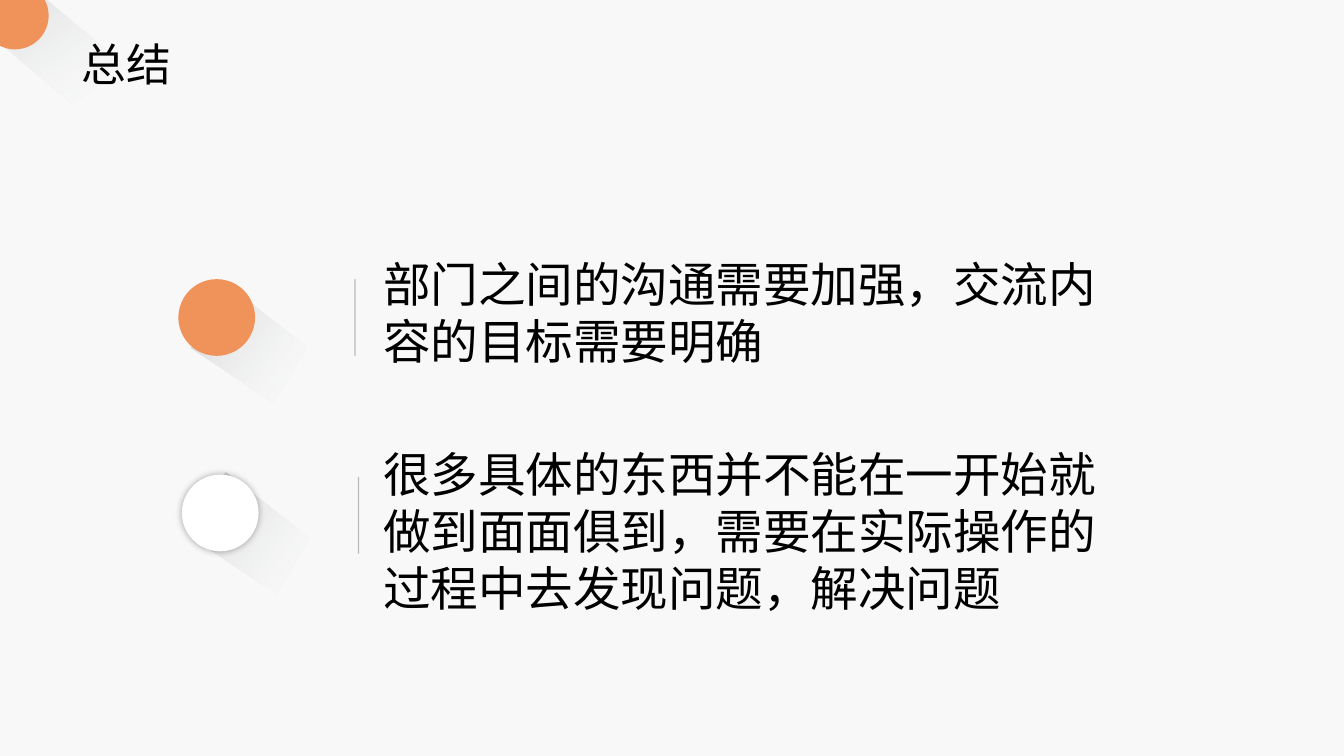
from lxml.etree import SubElement
from pptx import Presentation
from pptx.dml.color import RGBColor
from pptx.enum.shapes import MSO_CONNECTOR, MSO_SHAPE
from pptx.enum.text import MSO_ANCHOR, MSO_AUTO_SIZE, PP_ALIGN
from pptx.oxml import parse_xml
from pptx.oxml.ns import nsdecls, qn
from pptx.util import Pt

COLORS = {
    "background": "F8F8F8",
    "accent": "EF935B",
    "white": "FFFFFF",
    "text": "000000",
    "divider": "808080",
    "shade_far": "F7FAFD",
    "shade_middle": "CCCDCE",
    "shade_near": "BFBFBF",
}


class SummarySlide:
    font_name = "Arial"
    circle_size = 54.8

    def __init__(self, presentation):
        self.slide = presentation.slides.add_slide(presentation.slide_layouts[3])
        background = self.slide.background.fill
        background.solid()
        background.fore_color.rgb = self.color("background")

    def color(self, key):
        return RGBColor.from_string(COLORS[key])

    def long_shadow(self, left, top, outline, middle_stop, angle):
        corners = [(Pt(left + x), Pt(top + y)) for x, y in outline]
        builder = self.slide.shapes.build_freeform(*corners[0], scale=1.0)
        builder.add_line_segments(corners[1:], close=True)
        shade = builder.convert_to_shape()
        shade.shadow.inherit = False
        shade.line.fill.background()
        stops = "".join(
            f'<a:gs pos="{position * 1000}"><a:srgbClr val="{COLORS[key]}">'
            f'<a:alpha val="{opacity * 1000}"/></a:srgbClr></a:gs>'
            for position, key, opacity in (
                (0, "shade_far", 0),
                (middle_stop, "shade_middle", 40),
                (100, "shade_near", 100),
            )
        )
        gradient = parse_xml(
            f'<a:gradFill {nsdecls("a")}><a:gsLst>{stops}</a:gsLst>'
            f'<a:lin ang="{angle * 60000}" scaled="0"/></a:gradFill>'
        )
        shade.element.spPr.find(qn("a:custGeom")).addnext(gradient)

    def circle(self, left, top, size, fill, glow=False):
        disc = self.slide.shapes.add_shape(
            MSO_SHAPE.OVAL, Pt(left), Pt(top), Pt(size), Pt(size)
        )
        disc.shadow.inherit = False
        disc.fill.solid()
        disc.fill.fore_color.rgb = self.color(fill)
        disc.line.fill.background()
        if glow:
            effects = disc.element.spPr.find(qn("a:effectLst"))
            outer = SubElement(
                effects, qn("a:outerShdw"), blurRad=str(Pt(5)), dist="0", dir="0"
            )
            shade = SubElement(outer, qn("a:srgbClr"), val=COLORS["text"])
            SubElement(shade, qn("a:alpha"), val="30000")

    def divider(self, x, top, height):
        rule = self.slide.shapes.add_connector(
            MSO_CONNECTOR.STRAIGHT, Pt(x), Pt(top), Pt(x), Pt(top + height)
        )
        rule.line.width = Pt(1)
        rule.line.color.rgb = self.color("divider")
        properties = rule.element.spPr
        SubElement(next(properties.iter(qn("a:srgbClr"))), qn("a:alpha"), val="49000")
        SubElement(properties, qn("a:effectLst"))

    def text(self, index, wording, left, top, width, height, size, wrap=True):
        holder = self.slide.placeholders[index]
        holder.left, holder.top = Pt(left), Pt(top)
        holder.width, holder.height = Pt(width), Pt(height)
        holder.element.getparent().append(holder.element)
        frame = holder.text_frame
        frame.text = wording
        frame.word_wrap = wrap
        frame.auto_size = MSO_AUTO_SIZE.NONE
        frame.vertical_anchor = MSO_ANCHOR.TOP
        paragraph = frame.paragraphs[0]
        properties = paragraph._p.get_or_add_pPr()
        properties.set("marL", "0")
        properties.set("indent", "0")
        SubElement(properties, qn("a:buNone"))
        paragraph.alignment = PP_ALIGN.LEFT
        paragraph.space_before = Pt(0)
        paragraph.font.name = self.font_name
        paragraph.font.size = Pt(size)
        paragraph.font.color.rgb = self.color("text")


def main():
    presentation = Presentation()
    presentation.slide_width, presentation.slide_height = Pt(960), Pt(540)
    summary = SummarySlide(presentation)

    corner_outline = [
        (-10.8, 21.6), (0.7, 15.8), (10, 6.5), (20.9, -4.3),
        (28.1, -4.3), (87.8, 46.1), (52.6, 74.9),
    ]
    summary.long_shadow(0, 0, corner_outline, 77, 235)
    summary.circle(-13.4, -12.9, 48.2, "accent")
    summary.text(0, "总结", 51.1, 22.3, 79.2, 46.1, 32, wrap=False)

    point_outline = [(9.4, 49), (31.7, 1.5), (91.5, 48.3), (67.7, 87.9)]
    points = [
        ("部门之间的沟通需要加强，交流内容的目标需要明确",
         "accent", 127.4, 199.4, 199.4, 199.4, 178.6, 106.6),
        ("很多具体的东西并不能在一开始就做到面面俱到，需要在实际操作的过程中去发现问题，解决问题",
         "white", 129.9, 339, 336.3, 340.6, 313.9, 131),
    ]
    for index, point in enumerate(points, start=1):
        wording, fill, left, circle_top, shade_top, rule_top, text_top, height = point
        size = summary.circle_size
        summary.long_shadow(left, shade_top, point_outline, 65, 215)
        summary.circle(left, circle_top, size, fill, glow=fill == "white")
        summary.divider(left + 126.2, rule_top, size)
        summary.text(index, wording, 266.4, text_top, 536.4, height, 34)

    presentation.save("out.pptx")


if __name__ == "__main__":
    main()
